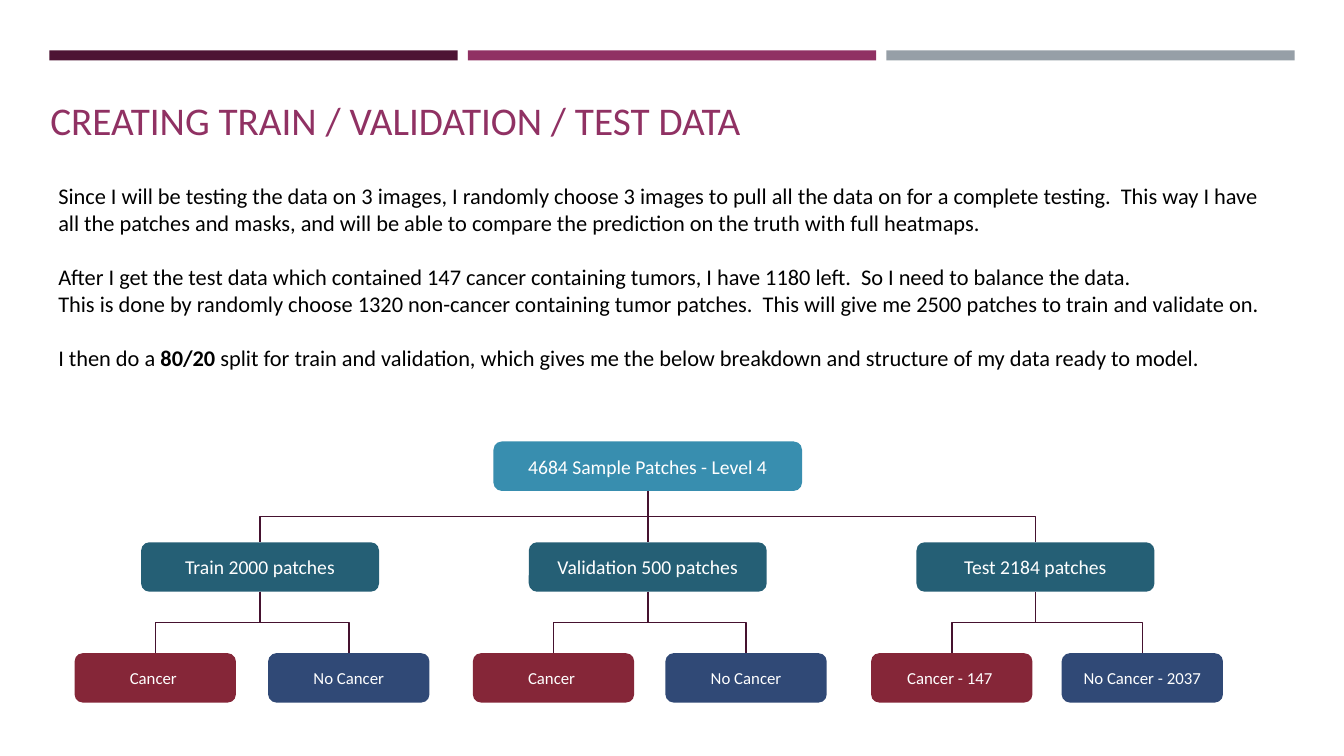
from lxml import etree
from pptx import Presentation
from pptx.dml.color import RGBColor
from pptx.enum.shapes import MSO_CONNECTOR, MSO_SHAPE
from pptx.enum.text import MSO_ANCHOR, MSO_AUTO_SIZE, PP_ALIGN
from pptx.oxml.ns import qn
from pptx.util import Pt

ELBOW = MSO_CONNECTOR.ELBOW
RECT, ROUND_RECT = MSO_SHAPE.RECTANGLE, MSO_SHAPE.ROUNDED_RECTANGLE
TOP, MIDDLE, BOTTOM = MSO_ANCHOR.TOP, MSO_ANCHOR.MIDDLE, MSO_ANCHOR.BOTTOM
LEFT, CENTER = PP_ALIGN.LEFT, PP_ALIGN.CENTER
NO_FIT = MSO_AUTO_SIZE.NONE

FONT = "Calibri"
PLUM, MAGENTA, GREY = "4D1434", "903163", "969FA7"
BLUE, TEAL, RED, NAVY = "388EAF", "255F75", "852638", "304976"
LINE, WHITE, BLACK = "45122F", "FFFFFF", "000000"

TITLE = "CREATING TRAIN / VALIDATION / TEST DATA"
BODY = [
    (0, [("Since I will be testing the data on 3 images, I randomly choose 3 images "
          "to pull all the data on for a complete testing.  This way I have all the "
          "patches and masks, and will be able to compare the prediction on the truth "
          "with full heatmaps.", False)]),
    (19.5, [("After I get the test data which contained 147 cancer containing tumors, "
             "I have 1180 left.  So I need to balance the data.", False)]),
    (0, [("This is done by randomly choose 1320 non-cancer containing tumor patches.  "
          "This will give me 2500 patches to train and validate on.", False)]),
    (19.5, [("I then do a ", False), ("80/20", True),
            (" split for train and validation, which gives me the below breakdown and "
             "structure of my data ready to model.", False)]),
]
ROOT = "4684 Sample Patches - Level 4"
SPLITS = [
    ("Train 2000 patches", [(0, "Cancer "), (192, "No Cancer")]),
    ("Validation 500 patches", [(395, "Cancer "), (586, "No Cancer")]),
    ("Test 2184 patches", [(790, "Cancer - 147 "), (979, "No Cancer - 2037")]),
]


def px(n):
    return round(n * 9144)


def rgb(value):
    return RGBColor.from_string(value)


def add_run(p, text, size, color, bold=False):
    r = p.add_run()
    r.text = text
    r.font.name, r.font.size, r.font.bold = FONT, Pt(size), bold
    r.font.color.rgb = rgb(color)


def set_frame(tf, anchor):
    tf.word_wrap = True
    tf.auto_size = NO_FIT
    tf.vertical_anchor = anchor


def add_block(s, kind, x, y, w, h, fill):
    sp = s.shapes.add_shape(kind, px(x), px(y), px(w), px(h))
    sp.shadow.inherit = False
    sp.fill.solid()
    sp.fill.fore_color.rgb = rgb(fill)
    sp.line.fill.background()
    return sp


def add_node(s, x, y, w, h, fill, text, size):
    sp = add_block(s, ROUND_RECT, x, y, w, h, fill)
    set_frame(sp.text_frame, MIDDLE)
    p = sp.text_frame.paragraphs[0]
    p.alignment = CENTER
    add_run(p, text, size, WHITE)
    return sp


def add_branch(s, parent, child):
    c = s.shapes.add_connector(ELBOW, 0, 0, 0, 0)
    c.begin_connect(parent, 2)
    c.end_connect(child, 0)
    x1, y1 = parent.left + parent.width // 2, parent.top + parent.height
    x2, y2 = child.left + child.width // 2, child.top
    run, drop = abs(x2 - x1), y2 - y1
    c.left, c.top = (x1 + x2 - drop) // 2, (y1 + y2 - run) // 2
    c.width, c.height = drop, run
    xfrm = c._element.spPr.find(qn("a:xfrm"))
    to_right = x2 > x1
    xfrm.set("rot", "16200000" if to_right else "5400000")
    xfrm.set("flipH", "1" if to_right else "0")
    xfrm.set("flipV", "0")
    c.line.color.rgb = rgb(LINE)
    c.line.width = Pt(1)
    etree.SubElement(c._element.spPr, qn("a:effectLst"))


def add_bars(s, x, y, w, h):
    gap = 10
    bar = (w - 2 * gap) / 3
    for i, fill in enumerate((PLUM, MAGENTA, GREY)):
        add_block(s, RECT, x + i * (bar + gap), y, bar, h, fill)


def add_title(s, x, y, w, h):
    sp = s.shapes.title
    sp.left, sp.top, sp.width, sp.height = px(x), px(y), px(w), px(h)
    set_frame(sp.text_frame, BOTTOM)
    p = sp.text_frame.paragraphs[0]
    p.alignment = LEFT
    add_run(p, TITLE, 28, MAGENTA)


def add_body(s, x, y, w, h):
    tf = s.shapes.add_textbox(px(x), px(y), px(w), px(h)).text_frame
    set_frame(tf, TOP)
    for i, (gap, runs) in enumerate(BODY):
        p = tf.add_paragraph() if i else tf.paragraphs[0]
        p.space_before = Pt(gap)
        for text, bold in runs:
            add_run(p, text, 16, BLACK, bold)


def add_tree(s, x, y, w, h):
    node_h, root_w, split_w, leaf_w = 49, 306, 236, 160
    split_x, pitch = x + 66, 384.5
    center = split_x + pitch + split_w / 2
    root = add_node(s, center - root_w / 2, y, root_w, node_h, BLUE, ROOT, 14)
    for i, (label, leaves) in enumerate(SPLITS):
        split = add_node(s, split_x + i * pitch, y + 100, split_w, node_h, TEAL, label, 14)
        add_branch(s, root, split)
        for (dx, text), fill in zip(leaves, (RED, NAVY)):
            leaf = add_node(s, x + dx, y + h - node_h, leaf_w, node_h, fill, text, 12)
            add_branch(s, split, leaf)


def main():
    prs = Presentation()
    prs.slide_width, prs.slide_height = px(1333), px(750)
    s = prs.slides.add_slide(prs.slide_layouts[5])
    add_bars(s, 49, 50, 1235, 10)
    add_title(s, 40, 77, 1243, 70)
    add_body(s, 48, 176, 1216, 189)
    add_tree(s, 74, 438, 1139, 259)
    prs.save("out.pptx")


if __name__ == "__main__":
    main()
